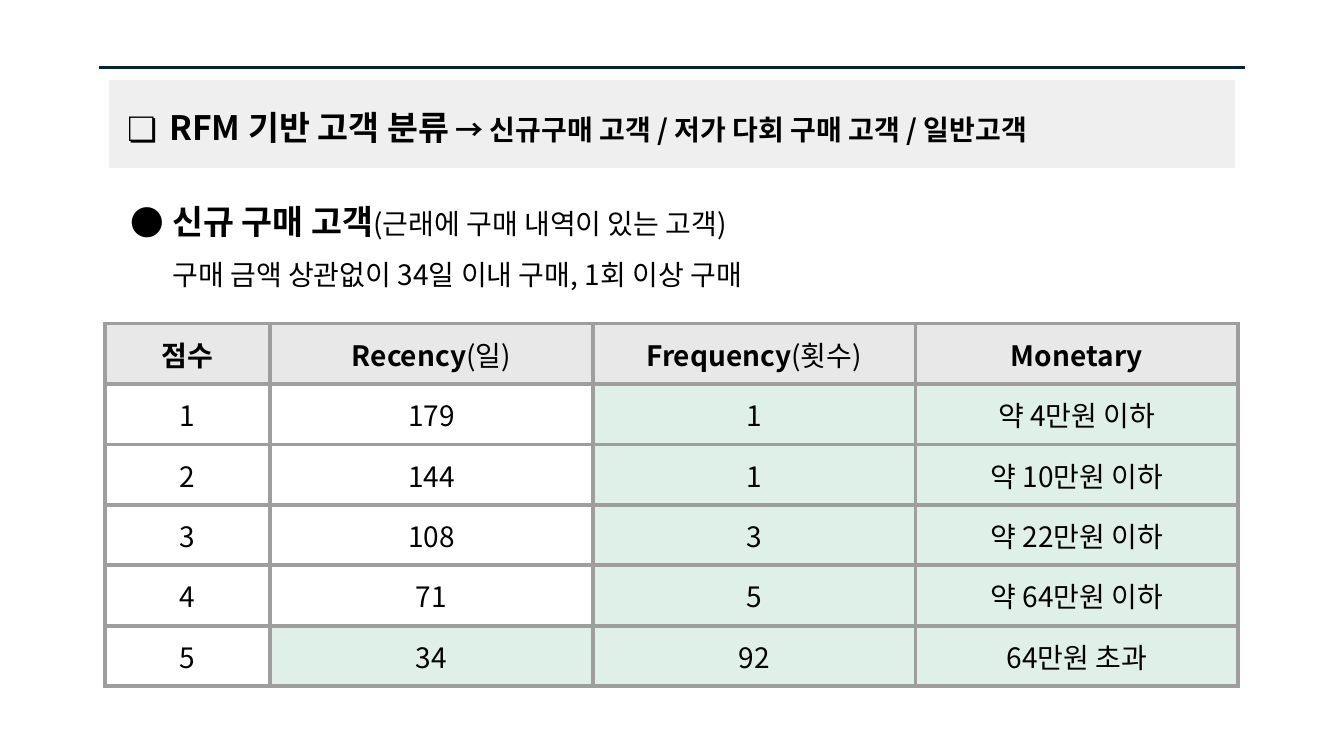
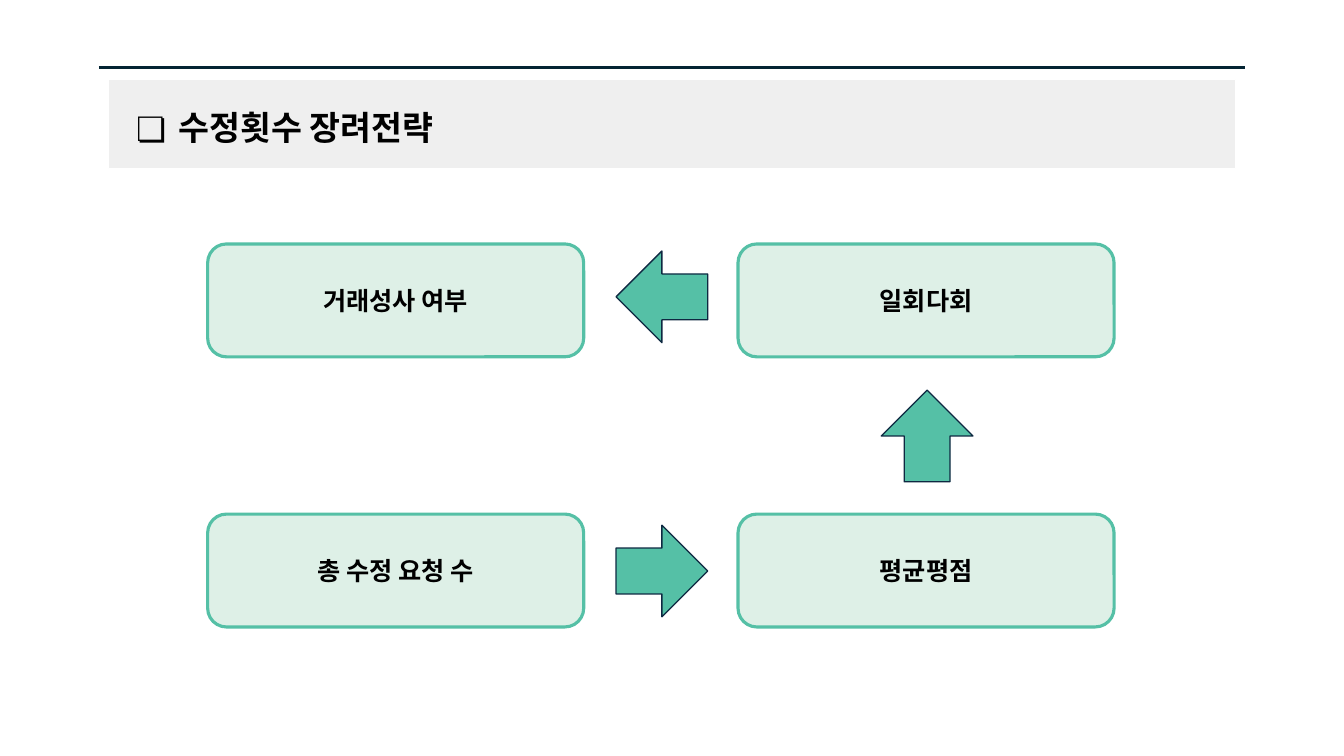
from lxml import etree
from pptx import Presentation
from pptx.dml.color import RGBColor
from pptx.enum.shapes import MSO_CONNECTOR, MSO_SHAPE
from pptx.enum.text import MSO_ANCHOR, MSO_AUTO_SIZE, PP_ALIGN
from pptx.oxml.ns import qn
from pptx.util import Inches, Pt

STRAIGHT = MSO_CONNECTOR.STRAIGHT
RECTANGLE = MSO_SHAPE.RECTANGLE
ROUNDED = MSO_SHAPE.ROUNDED_RECTANGLE
LEFT_ARROW, RIGHT_ARROW, UP_ARROW = MSO_SHAPE.LEFT_ARROW, MSO_SHAPE.RIGHT_ARROW, MSO_SHAPE.UP_ARROW
TOP, MIDDLE = MSO_ANCHOR.TOP, MSO_ANCHOR.MIDDLE
LEFT, CENTER = PP_ALIGN.LEFT, PP_ALIGN.CENTER
FIXED_SIZE, GROW = MSO_AUTO_SIZE.NONE, MSO_AUTO_SIZE.SHAPE_TO_FIT_TEXT

FONT = "Noto Sans CJK KR"
COLORS = {name: RGBColor.from_string(value) for name, value in {
    "text": "000000",
    "white": "FFFFFF",
    "rule": "042433",
    "band": "EFEFEF",
    "header": "E8E8E8",
    "grid": "9E9E9E",
    "mint": "DEF0E7",
    "green": "55C0A6",
    "navy": "0E2841",
}.items()}


def write_runs(paragraph, runs, alignment=LEFT, bullet=None, indented=False):
    """Fill a paragraph with (text, size, bold) runs, with an optional bullet."""
    properties = paragraph._p.get_or_add_pPr()
    if indented:
        properties.set("marL", str(Inches(0.5)))
        properties.set("indent", str(Inches(-0.42) if bullet else 0))
        if bullet:
            color = etree.SubElement(properties, qn("a:buClr"))
            etree.SubElement(color, qn("a:srgbClr"), val=str(COLORS["text"]))
            etree.SubElement(properties, qn("a:buFont"), typeface=FONT)
            etree.SubElement(properties, qn("a:buChar"), char=bullet)
        else:
            etree.SubElement(properties, qn("a:buNone"))
    paragraph.alignment = alignment
    paragraph.space_before = Pt(0)
    for text, size, bold in runs:
        run = paragraph.add_run()
        run.text = text
        run.font.size = Pt(size)
        run.font.bold = bold
        run.font.name = FONT
        run.font.color.rgb = COLORS["text"]
        etree.SubElement(run._r.get_or_add_rPr(), qn("a:ea"), typeface=FONT)


def add_filled_shape(slide, kind, box, fill, line, width):
    shape = slide.shapes.add_shape(kind, *map(Inches, box))
    shape.shadow.inherit = False
    shape.fill.solid()
    shape.fill.fore_color.rgb = COLORS[fill]
    shape.line.color.rgb = COLORS[line]
    shape.line.width = Pt(width)
    return shape


presentation = Presentation()
presentation.slide_width = Inches(13.33)
presentation.slide_height = Inches(7.5)

# Shared frame: rule, band and title
TITLES = [
    (1, 1.08, 10.69, [("RFM 기반 고객 분류", 24, True),
                      (" → 신규구매 고객 / 저가 다회 구매 고객 / 일반고객", 20, True)]),
    (5, 1.17, 7.54, [("수정횟수 장려전략", 24, True)]),
]
for layout_index, left, width, runs in TITLES:
    slide = presentation.slides.add_slide(presentation.slide_layouts[layout_index])
    rule = slide.shapes.add_connector(
        STRAIGHT, Inches(0.98), Inches(0.67), Inches(12.35), Inches(0.67))
    rule.line.color.rgb = COLORS["rule"]
    rule.line.width = Pt(1.5)
    etree.SubElement(rule._element.spPr, qn("a:effectLst"))

    band = add_filled_shape(slide, RECTANGLE, (1.08, 0.79, 11.17, 0.88), "band", "white", 0.75)
    slide.shapes._spTree.insert(2, band._element)  # behind the title

    title = slide.shapes.title
    title.left, title.top = Inches(left), Inches(0.96)
    title.width, title.height = Inches(width), Inches(0.54)
    frame = title.text_frame
    frame.margin_left = frame.margin_right = frame.margin_top = frame.margin_bottom = Inches(0.1)
    frame.auto_size = FIXED_SIZE
    frame.vertical_anchor = TOP
    write_runs(frame.paragraphs[0], runs, bullet="❏", indented=True)

score_slide, strategy_slide = presentation.slides

# Slide 1: description of the customer group
body = score_slide.placeholders[1]
body.left, body.top = Inches(1.11), Inches(1.69)
body.width, body.height = Inches(11.11), Inches(1.14)
frame = body.text_frame
frame.margin_left = frame.margin_right = frame.margin_top = frame.margin_bottom = Inches(0.1)
frame.auto_size = GROW
frame.vertical_anchor = TOP
write_runs(frame.paragraphs[0],
           [("신규 구매 고객", 24, True), ("(근래에 구매 내역이 있는 고객)", 20, False)],
           bullet="●", indented=True)
write_runs(frame.add_paragraph(),
           [("구매 금액 상관없이 34일 이내 구매, 1회 이상 구매", 20, False)], indented=True)
for paragraph in frame.paragraphs:
    paragraph.line_spacing = 1.5

# Slide 1: score table
HEADERS = [("점수", ""), ("Recency", "(일)"), ("Frequency", "(횟수)"), ("Monetary", "")]
SCORES = [
    ("1", "179", "1", "약 4만원 이하"),
    ("2", "144", "1", "약 10만원 이하"),
    ("3", "108", "3", "약 22만원 이하"),
    ("4", "71", "5", "약 64만원 이하"),
    ("5", "34", "92", "64만원 초과"),
]
COLUMN_WIDTHS = [1.64, 3.2, 3.2, 3.2]
ROW_HEIGHT = 0.6
row_count = len(SCORES) + 1
table = score_slide.shapes.add_table(
    row_count, len(HEADERS), Inches(1.04), Inches(3.21),
    Inches(sum(COLUMN_WIDTHS)), Inches(ROW_HEIGHT * row_count)).table
table.first_row = table.horz_banding = False
for column, width in zip(table.columns, COLUMN_WIDTHS):
    column.width = Inches(width)

for row_index in range(row_count):
    for column_index, (name, unit) in enumerate(HEADERS):
        cell = table.cell(row_index, column_index)
        cell.margin_left = cell.margin_right = cell.margin_top = cell.margin_bottom = Inches(0.1)
        for side in ("a:lnL", "a:lnR", "a:lnT", "a:lnB"):
            border = etree.SubElement(
                cell._tc.get_or_add_tcPr(), qn(side), w=str(Pt(3)))
            border_fill = etree.SubElement(border, qn("a:solidFill"))
            etree.SubElement(border_fill, qn("a:srgbClr"), val=str(COLORS["grid"]))

        if row_index == 0:
            fill = "header"
            runs = [(name, 20, True)] + ([(unit, 20, False)] if unit else [])
        else:
            # Recency qualifies only at the top score
            matches = column_index >= 2 or (column_index == 1 and row_index == len(SCORES))
            fill = "mint" if matches else None
            runs = [(SCORES[row_index - 1][column_index], 20, False)]
        if fill:
            cell.fill.solid()
            cell.fill.fore_color.rgb = COLORS[fill]
        else:
            cell.fill.background()
        write_runs(cell.text_frame.paragraphs[0], runs, alignment=CENTER)

# Slide 2: steps and arrows
STEP_LEFTS = (2.06, 7.32)
STEP_ROWS = [(2.42, ("거래성사 여부", "일회다회")), (5.1, ("총 수정 요청 수", "평균평점"))]
for top, labels in STEP_ROWS:
    for left, label in zip(STEP_LEFTS, labels):
        step = add_filled_shape(
            strategy_slide, ROUNDED, (left, top, 3.73, 1.12), "mint", "green", 2.25)
        frame = step.text_frame
        frame.margin_left = frame.margin_right = Inches(0.12)
        frame.margin_top = frame.margin_bottom = Inches(0.12)
        frame.vertical_anchor = MIDDLE
        write_runs(frame.paragraphs[0], [(label, 18, True)], alignment=CENTER)

ARROW_SIZE = 0.91
for kind, left, top in [(LEFT_ARROW, 6.11, 2.49), (RIGHT_ARROW, 6.11, 5.21), (UP_ARROW, 8.74, 3.87)]:
    add_filled_shape(
        strategy_slide, kind, (left, top, ARROW_SIZE, ARROW_SIZE), "green", "navy", 0.9)

presentation.save("out.pptx")
